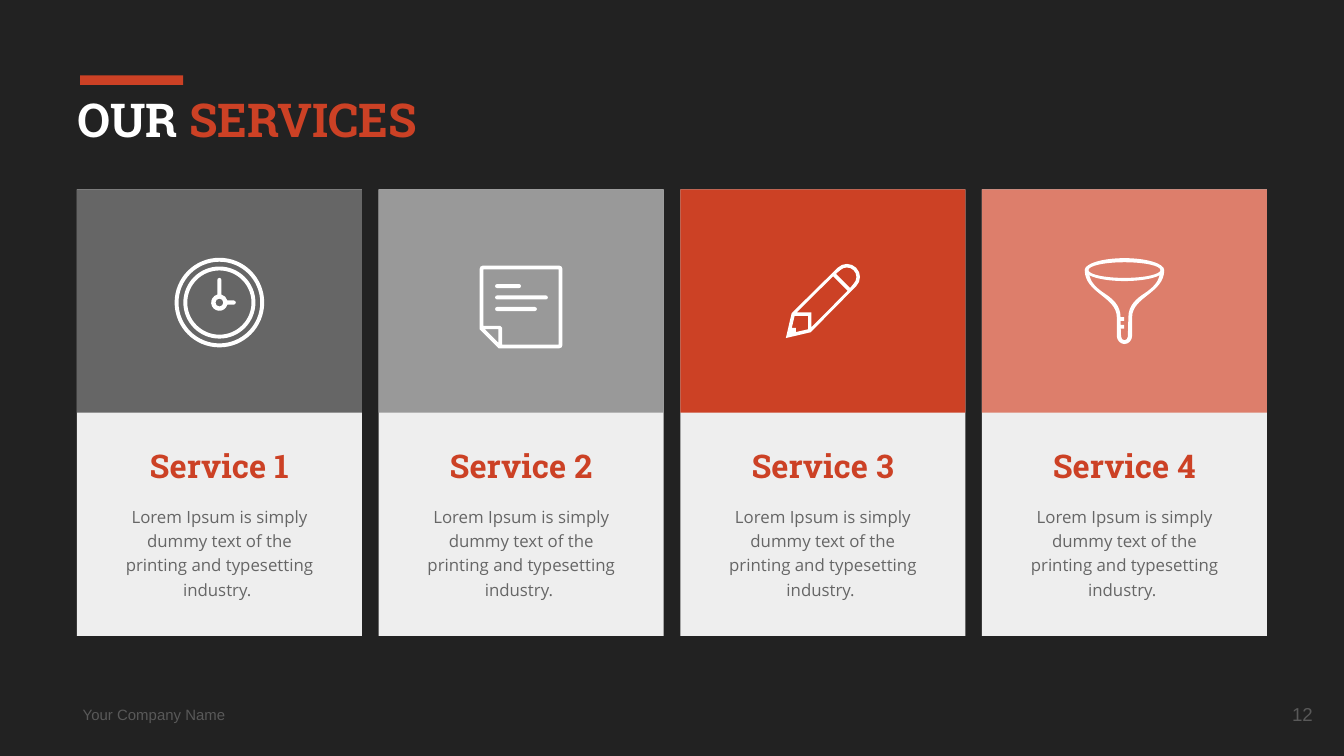
from math import ceil, cos, radians, sin, tan

from pptx import Presentation
from pptx.dml.color import RGBColor
from pptx.enum.shapes import MSO_SHAPE
from pptx.enum.text import MSO_ANCHOR, MSO_AUTO_SIZE, PP_ALIGN
from pptx.oxml.ns import qn
from pptx.util import Pt

DARK = RGBColor(0x22, 0x22, 0x22)
WHITE = RGBColor(0xFF, 0xFF, 0xFF)
PALE = RGBColor(0xEE, 0xEE, 0xEE)
MID_GREY = RGBColor(0x99, 0x99, 0x99)
GREY = RGBColor(0x66, 0x66, 0x66)
FOOTER_GREY = RGBColor(0x59, 0x59, 0x59)
RED = RGBColor(0xCC, 0x41, 0x25)
LIGHT_RED = RGBColor(0xDD, 0x7E, 0x6B)


def arc(center_x, center_y, radius_x, radius_y, start=0, end=360):
    """A start point and curves along an ellipse; degrees run clockwise from the right."""
    count = ceil(abs(end - start) / 90)
    turn = radians(end - start) / count
    reach = 4 / 3 * tan(turn / 4)
    steps = [(center_x + radius_x * cos(radians(start)), center_y + radius_y * sin(radians(start)))]
    for i in range(count):
        a = radians(start) + i * turn
        b = a + turn
        units = ((cos(a) - reach * sin(a), sin(a) + reach * cos(a)),
                 (cos(b) + reach * sin(b), sin(b) - reach * cos(b)),
                 (cos(b), sin(b)))
        steps.append(tuple(value for x, y in units
                           for value in (center_x + radius_x * x, center_y + radius_y * y)))
    return steps


def circle(radius):
    return arc(0, 0, radius, radius)


def bar(left, right, y, radius=1.1):
    return arc(right, y, radius, radius, -90, 90) + arc(left, y, radius, radius, 90, 270)


# Icons are lists of closed outlines, in points from the icon's centre.
# A step of two numbers is a line to that point; one of six is a Bezier curve.
CLOCK = [circle(radius) for radius in (24, 21.9, 19.3, 17.2, 2.1)] + [
    arc(0, 0, 4.4, 4.4, 15, 255) + arc(0, -12.1, 1.1, 1.1, 180, 360)
    + arc(0, 0, 4.4, 4.4, 285, 345) + arc(7.7, 0, 1.1, 1.1, -90, 90)]

NOTE = [
    [(-22.2, 11.9), (-11.9, 22.2)] + arc(20.4, 20.4, 1.8, 1.8, 90, 0)
    + arc(20.4, -20.4, 1.8, 1.8, 0, -90) + arc(-20.4, -20.4, 1.8, 1.8, -90, -180),
    [(-20.2, 10.1)] + arc(-11.1, 11.1, 1, 1, -90, 0)
    + [(-10.1, 20.2), (20.2, 20.2), (20.2, -20.2), (-20.2, -20.2)],
    [(-12.1, 19.2), (-19.4, 11.9), (-12.1, 11.9)],
    bar(-12.8, -1.1, -11.2), bar(-12.8, 13.3, -5.1), bar(-12.8, 7.4, 1.1)]

PENCIL = [
    arc(12.9, -12.9, 7, 7, 225, 405) + [(-6.5, 16.7), (-19.8, 19.8), (-16.7, 6.5)],
    [(-7.9, 15.1), (-14.4, 16.6), (-14.4, 14.4), (-16.6, 14.4), (-15.1, 7.9), (-7.9, 7.9)],
    [(-6.1, 14), (-6.1, 6.1), (-14, 6.1), (5.5, -13.3), (13.3, -5.5)],
    arc(12.9, -12.9, 5.1, 5.1, 225, 405) + [(14.6, -7), (7, -14.6)]]

FUNNEL = [
    arc(0, -16.6, 21.3, 6.4, 180, 360) + [(21.3, -4.3, 4.1, -2.2, 4.1, 8.6)]
    + arc(0, 18.5, 4.1, 4.5, 0, 180) + [(-4.1, 8.6), (-4.1, -2.2, -21.3, -4.3, -21.3, -16.6)],
    [(18.9, -13.9), (18, -10, 15, -7, 11, -4.3), (6.5, -1.4, 2.1, 2.2, 2.1, 8.6)]
    + arc(0, 19, 1.8, 2, 0, 180)
    + [(-2, 14.7), (-0.2, 14.7), (-0.2, 12.8), (-2, 12.8),
       (-2, 10.6), (-0.2, 10.6), (-0.2, 8.6), (-2.1, 8.6),
       (-2.1, 2.2, -6.5, -1.4, -11, -4.3), (-15, -7, -18, -10, -18.9, -13.9)]
    + arc(0, -16.6, 21.3, 5.9, 153, 27),
    arc(0, -16.6, 19.3, 4.2)]

DESCRIPTION = "Lorem Ipsum is simply dummy text of the printing and typesetting industry. "
TITLE = [("OUR ", WHITE), ("SERVICES", RED)]
# name, tile colour, icon, icon's drop below the tile's centre
SERVICES = [
    ("Service 1", GREY, CLOCK, 0.8),
    ("Service 2", MID_GREY, NOTE, 3.2),
    ("Service 3", RED, PENCIL, 0),
    ("Service 4", LIGHT_RED, FUNNEL, 0),
]

CARD_LEFT, CARD_TOP = 41.2, 101.5
CARD_WIDTH, CARD_HEIGHT, CARD_STEP = 152.7, 239.2, 161.62
TILE_HEIGHT = CARD_HEIGHT / 2


def paint(shape, color):
    shape.fill.solid()
    shape.fill.fore_color.rgb = color
    shape.line.fill.background()
    shape.shadow.inherit = False


def add_rectangle(shapes, left, top, width, height, color):
    paint(shapes.add_shape(MSO_SHAPE.RECTANGLE, Pt(left), Pt(top), Pt(width), Pt(height)), color)


def set_frame(frame, anchor):
    frame.word_wrap = True
    frame.auto_size = MSO_AUTO_SIZE.NONE
    frame.vertical_anchor = anchor
    frame.margin_left = frame.margin_right = frame.margin_top = frame.margin_bottom = Pt(7.2)


def set_font(font, name, size, color, bold=False):
    font.name, font.size, font.bold = name, Pt(size), bold
    font.color.rgb = color


def add_text(shapes, text, left, top, width, height, font, align, anchor=MSO_ANCHOR.MIDDLE):
    box = shapes.add_textbox(Pt(left), Pt(top), Pt(width), Pt(height))
    set_frame(box.text_frame, anchor)
    para = box.text_frame.paragraphs[0]
    para.text = text
    para.alignment = align
    set_font(para.font, *font)
    return para


def add_icon(shapes, outlines, center_x, center_y):
    """Draw every point as a line, then merge each curve's three lines into one curve."""
    builder = shapes.build_freeform(*map(Pt, outlines[0][0]))
    for index, outline in enumerate(outlines):
        if index:
            builder.move_to(*map(Pt, outline[0]))
        points = [(Pt(step[i]), Pt(step[i + 1]))
                  for step in outline[1:] for i in range(0, len(step), 2)]
        builder.add_line_segments(points, close=False)
    shape = builder.convert_to_shape(Pt(center_x), Pt(center_y))
    paint(shape, WHITE)
    lines = iter(list(shape._element.iter(qn("a:lnTo"))))
    for outline in outlines:
        for step in outline[1:]:
            line = last = next(lines)
            if len(step) == 6:
                last = line.makeelement(qn("a:cubicBezTo"))
                line.addprevious(last)
                for part in (line, next(lines), next(lines)):
                    last.append(part[0])
                    part.getparent().remove(part)
        last.addnext(last.makeelement(qn("a:close")))


def add_card(slide, left, name, color, icon, drop):
    shapes = slide.shapes.add_group_shape().shapes
    add_rectangle(shapes, left, CARD_TOP, CARD_WIDTH, CARD_HEIGHT, PALE)
    add_text(shapes, name, left, 236.2, CARD_WIDTH, 26,
             ("Roboto Slab", 17.5, RED, True), PP_ALIGN.CENTER)
    add_rectangle(shapes, left, CARD_TOP, CARD_WIDTH, TILE_HEIGHT, color)
    para = add_text(shapes, DESCRIPTION, left + 13, 262, CARD_WIDTH - 26, 65.5,
                    ("Open Sans", 9, GREY), PP_ALIGN.CENTER, MSO_ANCHOR.TOP)
    para.line_spacing = 1.2
    add_icon(shapes, icon, left + CARD_WIDTH / 2, CARD_TOP + TILE_HEIGHT / 2 + drop)


def add_title(slide):
    title = slide.shapes.title
    title.left, title.top, title.width, title.height = Pt(34.3), Pt(41.4), Pt(651), Pt(46.8)
    set_frame(title.text_frame, MSO_ANCHOR.TOP)
    para = title.text_frame.paragraphs[0]
    para.alignment = PP_ALIGN.LEFT
    set_font(para.font, "Roboto Slab", 25, WHITE, True)
    for text, color in TITLE:
        span = para.add_run()
        span.text = text
        span.font.color.rgb = color


def main():
    deck = Presentation()
    deck.slide_width, deck.slide_height = Pt(720), Pt(405)
    slide = deck.slides.add_slide(deck.slide_layouts[5])
    slide.background.fill.solid()
    slide.background.fill.fore_color.rgb = DARK
    add_rectangle(slide.shapes, 42.9, 40.4, 55.2, 5.1, RED)
    add_title(slide)
    for index, service in enumerate(SERVICES):
        add_card(slide, CARD_LEFT + index * CARD_STEP, *service)
    add_text(slide.shapes, "Your Company Name", 37.2, 373.4, 120, 18.7,
             ("Arial", 8, FOOTER_GREY), PP_ALIGN.LEFT)
    add_text(slide.shapes, "12", 667.2, 367, 43.2, 31,
             ("Arial", 10, FOOTER_GREY), PP_ALIGN.RIGHT)
    deck.save("out.pptx")


if __name__ == "__main__":
    main()
